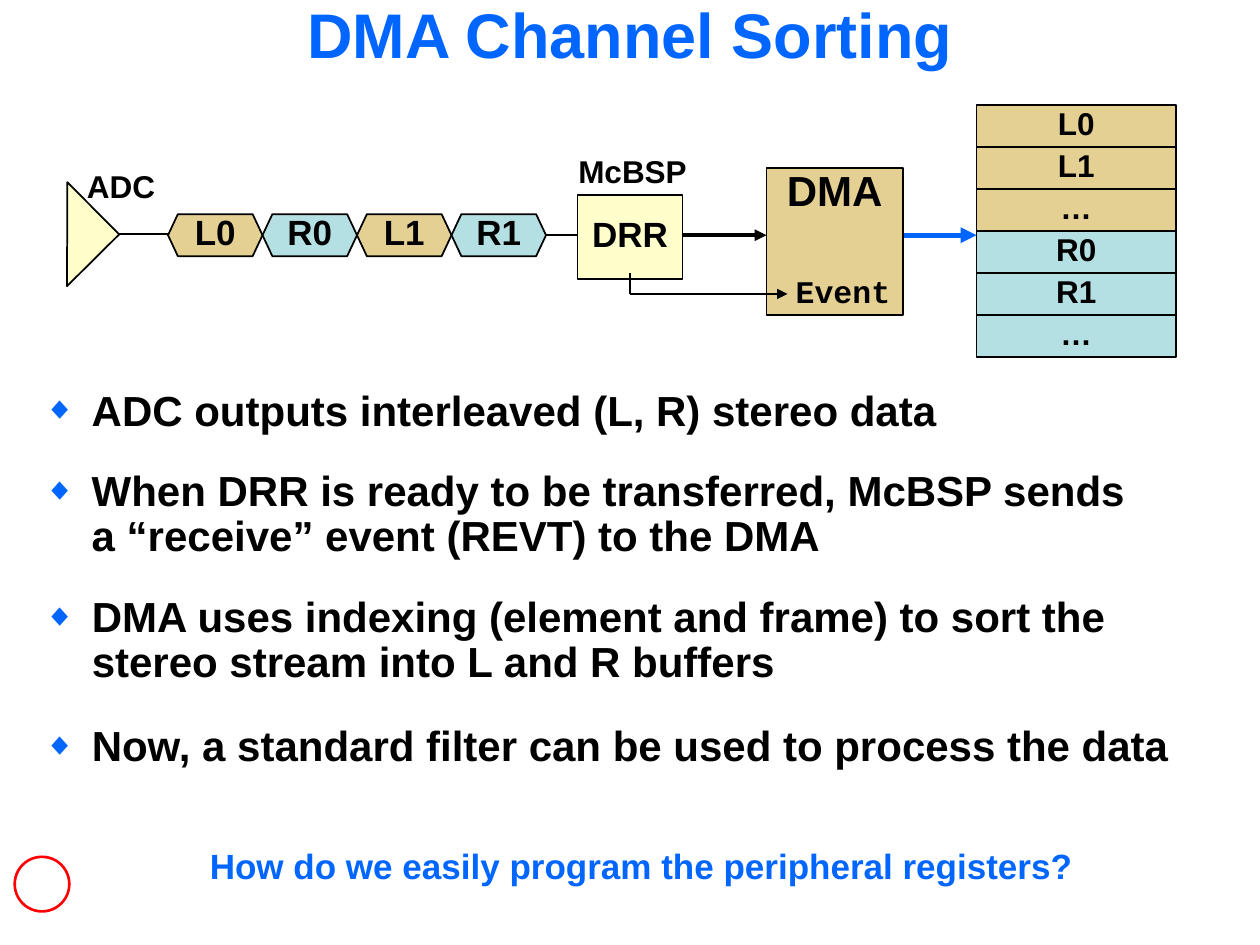
from lxml import etree
from pptx import Presentation
from pptx.dml.color import RGBColor
from pptx.enum.shapes import MSO_CONNECTOR as Connector, MSO_SHAPE as Shape
from pptx.enum.text import MSO_ANCHOR as Anchor, MSO_AUTO_SIZE as AutoSize, PP_ALIGN as Align
from pptx.oxml.ns import qn
from pptx.util import Inches, Pt

COLUMNS, ROWS = 120, 90
BLUE, BLACK, RED, WHITE = "0066FF", "000000", "FF0000", "FFFFFF"
TAN, TEAL, CREAM = "E5D093", "B5E0E3", "FFFFCC"


def color(value):
    return RGBColor.from_string(value)


def add_child(parent, tag, **attributes):
    return etree.SubElement(parent, qn(tag), attributes)


class Diagram:
    """Draws on one slide, with all lengths in grid columns and rows."""

    def __init__(self, presentation):
        self.slide = presentation.slides.add_slide(presentation.slide_layouts[5])
        self.column = presentation.slide_width / COLUMNS
        self.row = presentation.slide_height / ROWS

    def place(self, left, top, width, height):
        return (round(left * self.column), round(top * self.row),
                round(width * self.column), round(height * self.row))

    def set_text(self, shape, text, size, ink=BLACK, font="Arial", align=Align.LEFT,
                 spacing=0.8, bullet=False, **frame_values):
        frame = shape.text_frame
        margins = {"margin_left": Inches(0.1), "margin_right": Inches(0.1),
                   "margin_top": Inches(0.05), "margin_bottom": Inches(0.05)}
        defaults = {"word_wrap": False, "vertical_anchor": Anchor.TOP}
        for name, value in {**margins, **defaults, **frame_values}.items():
            setattr(frame, name, value)
        paragraph = frame.paragraphs[0]
        paragraph.text = text
        if bullet:
            self.add_bullet(paragraph)
        for name, value in {"alignment": align, "line_spacing": spacing,
                            "space_before": Pt(0)}.items():
            setattr(paragraph, name, value)
        for run in paragraph.runs:
            for name, value in {"name": font, "size": Pt(size), "bold": True}.items():
                setattr(run.font, name, value)
            run.font.color.rgb = color(ink)

    def add_bullet(self, paragraph):
        properties = paragraph._p.get_or_add_pPr()
        indent = Inches(0.38)
        properties.set("marL", str(indent))
        properties.set("indent", str(-indent))
        add_child(add_child(properties, "a:buClr"), "a:srgbClr", val=BLUE)
        add_child(properties, "a:buSzPct", val="75000")
        add_child(properties, "a:buFont", typeface="Arial")
        add_child(properties, "a:buChar", char="◆")

    def title(self, text, box):
        shape = self.slide.shapes.title
        shape.left, shape.top, shape.width, shape.height = self.place(*box)
        self.set_text(shape, text, 36, BLUE, align=Align.CENTER, spacing=0.75,
                      word_wrap=True, auto_size=AutoSize.NONE,
                      margin_left=Inches(0.05), margin_right=Inches(0.05))

    def block(self, preset, box, fill, text="", size=20, line=BLACK, width=1,
              anchor=Anchor.MIDDLE):
        shape = self.slide.shapes.add_shape(preset, *self.place(*box))
        shape.shadow.inherit = False
        shape.fill.solid()
        shape.fill.fore_color.rgb = color(fill)
        shape.line.color.rgb = color(line)
        shape.line.width = Pt(width)
        if text:
            self.set_text(shape, text, size, align=Align.CENTER, vertical_anchor=anchor)
        return shape

    def label(self, text, box, size=18, **style):
        shape = self.slide.shapes.add_textbox(*self.place(*box))
        self.set_text(shape, text, size, auto_size=AutoSize.SHAPE_TO_FIT_TEXT, **style)

    def wire(self, start, end, ink=BLACK, width=1, arrow=False):
        x1, y1, x2, y2 = self.place(*start, *end)
        connector = self.slide.shapes.add_connector(Connector.STRAIGHT, x1, y1, x2, y2)
        connector.line.color.rgb = color(ink)
        connector.line.width = Pt(width)
        if arrow:
            add_child(connector._element.spPr.find(qn("a:ln")), "a:tailEnd", type="triangle")
        add_child(connector._element.spPr, "a:effectLst")


def draw_signal_chain(diagram):
    axis = 22.4
    diagram.wire((85, axis), (93, axis), BLUE, 3, arrow=True)
    diagram.wire((16, 22.3), (11, 22.3))

    for index, sample in enumerate(("L0", "R0", "L1", "R1")):
        fill = TAN if sample.startswith("L") else TEAL
        hexagon = diagram.block(Shape.HEXAGON, (16 + 9 * index, 20.4, 9, 4), fill, sample)
        hexagon.adjustments[0] = 0.234

    diagram.block(Shape.RECTANGLE, (55, 18.6, 10, 8), CREAM, "DRR")
    diagram.wire((52, axis), (55, axis))
    diagram.block(Shape.RECTANGLE, (73, 16, 13, 14), TAN, "DMA", 24, anchor=Anchor.TOP)
    diagram.wire((65, axis), (73, axis), width=2.25, arrow=True)

    for index, cell in enumerate(("L0", "L1", "…", "R0", "R1", "…")):
        fill = TAN if index < 3 else TEAL
        diagram.block(Shape.RECTANGLE, (93, 10 + 4 * index, 19, 4), fill, cell, 18)

    converter = diagram.block(Shape.RIGHT_TRIANGLE, (2.9, 18.8, 7, 7), CREAM)
    converter.rotation = 225.2
    diagram.wire((60, 26), (60, 28))
    diagram.wire((60, 28), (75, 28), arrow=True)
    diagram.label("ADC", (7.1, 16, 8.9, 4.1))
    diagram.label("McBSP", (53.9, 14.6, 12.7, 4.1))
    diagram.label("Event", (74.6, 26, 11.4, 4.1), font="Courier New")


def draw_points(diagram):
    points = (
        ("ADC outputs interleaved (L, R) stereo data", (37, 87.4, 5), 0.8),
        ("When DRR is ready to be transferred, McBSP sends\n"
         "a “receive” event (REVT) to the DMA", (44.2, 105.4, 9.8), 0.9),
        ("DMA uses indexing (element and frame) to sort the\n"
         "stereo stream into L and R buffers", (56.2, 103.6, 9.8), 0.9),
        ("Now, a standard filter can be used to process the data", (68.5, 109.6, 5.5), 0.9),
    )
    for text, (top, width, height), spacing in points:
        diagram.label(text, (3, top, width, height), 24, spacing=spacing, bullet=True)


def main():
    presentation = Presentation()
    presentation.slide_width, presentation.slide_height = Inches(10), Inches(7.5)
    diagram = Diagram(presentation)
    diagram.title("DMA Channel Sorting", (0, 0.7, 120, 8))
    draw_signal_chain(diagram)
    draw_points(diagram)
    diagram.label("How do we easily program the peripheral registers?",
                  (18.8, 80.6, 84.6, 4.4), 20, ink=BLUE)
    diagram.block(Shape.OVAL, (1.4, 81.6, 5.2, 5.2), WHITE, line=RED, width=1.5)
    presentation.save("out.pptx")


if __name__ == "__main__":
    main()
